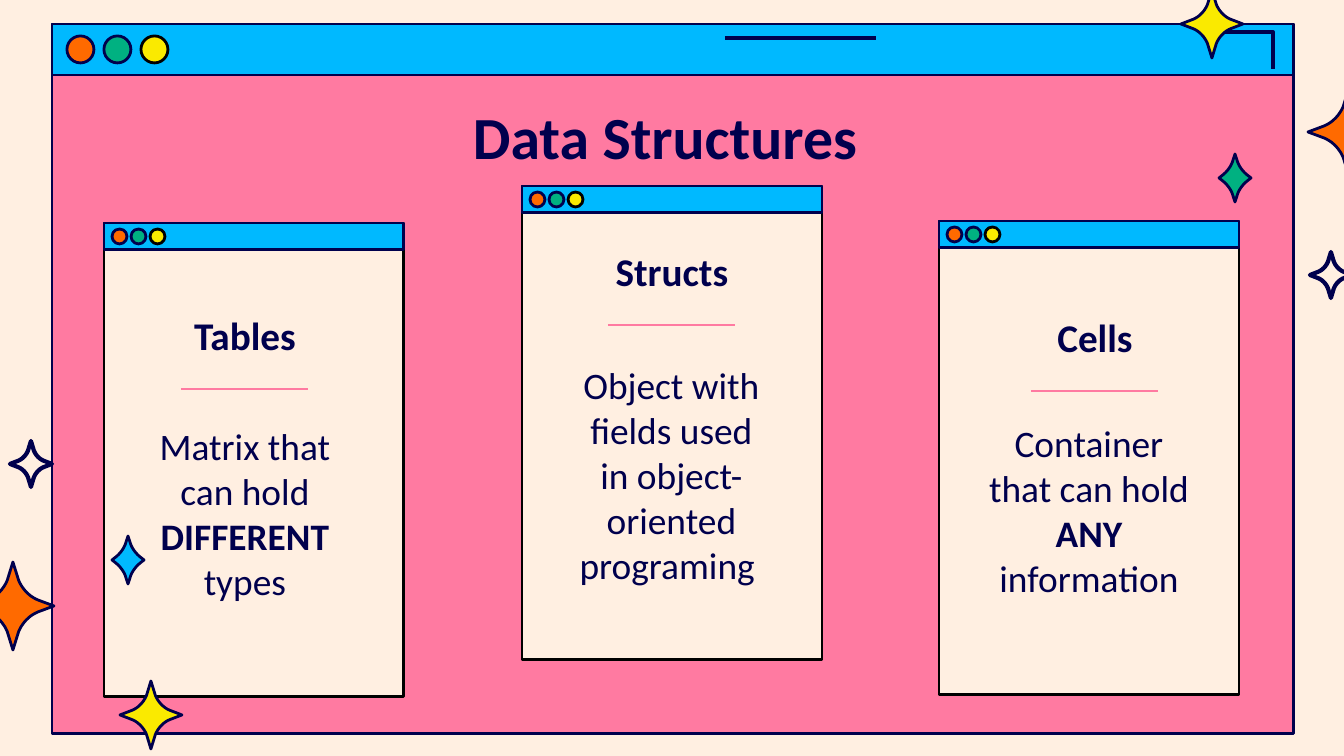
from lxml import etree
from pptx import Presentation
from pptx import util as u
from pptx.dml.color import RGBColor
from pptx.enum import shapes, text
from pptx.oxml import ns

SCALE = 914400 / 134.4
COLORS = {
    "cream": "FFEFE1", "pink": "FF7AA1", "navy": "00004D", "black": "000000",
    "blue": "00B9FF", "green": "00B181", "yellow": "FAEA00", "orange": "FF6A00",
}
WIDE_CURVE = ((.14, .58), (.22, .4), (.39, .22), (.6, .14))
SLIM_CURVE = ((.12, .76), (.22, .48), (.55, .22), (.85, .08))


def px(value):
    return u.Emu(round(value * SCALE))


def color(name):
    return RGBColor.from_string(COLORS[name])


def bezier(points, t):
    weights = ((1 - t) ** 3, 3 * t * (1 - t) ** 2, 3 * t * t * (1 - t), t ** 3)
    return tuple(sum(w * p[axis] for w, p in zip(weights, points)) for axis in (0, 1))


class Canvas:
    font = "Calibri"

    def __init__(self, slide):
        self.slide = slide
        self.shapes = slide.shapes

    def style(self, shape, fill, line="navy", width=1.5):
        shape.shadow.inherit = False
        if fill:
            shape.fill.solid()
            shape.fill.fore_color.rgb = color(fill)
        else:
            shape.fill.background()
        shape.line.color.rgb = color(line)
        shape.line.width = u.Pt(width)

    def shape(self, kind, left, top, width, height, fill, line="navy"):
        shape = self.shapes.add_shape(kind, px(left), px(top), px(width), px(height))
        self.style(shape, fill, line)

    def outline(self, points, fill, width=1.5, close=True):
        points = [(px(x), px(y)) for x, y in points]
        builder = self.shapes.build_freeform(*points[0])
        builder.add_line_segments(points[1:], close=close)
        self.style(builder.convert_to_shape(), fill, width=width)

    def line(self, left, top, length, name, width):
        line = self.shapes.add_connector(
            shapes.MSO_CONNECTOR.STRAIGHT, px(left), px(top), px(left + length), px(top))
        line.line.color.rgb = color(name)
        line.line.width = u.Pt(width)
        etree.SubElement(line.element.spPr, ns.qn("a:effectLst"))

    def window(self, left, top, width, height, bar, dot, inset, step, fill, line):
        rectangle = shapes.MSO_SHAPE.RECTANGLE
        self.shape(rectangle, left, top, width, height, fill, line)
        self.shape(rectangle, left, top, width, bar, "blue")
        dots = (("orange", "navy"), ("green", "navy"), ("yellow", "black"))
        for index, (dot_fill, dot_line) in enumerate(dots):
            self.shape(shapes.MSO_SHAPE.OVAL, left + inset + index * step,
                       top + (bar - dot) / 2, dot, dot, dot_fill, dot_line)

    def star(self, center_x, center_y, half_width, half_height, fill,
             curve=WIDE_CURVE, width=1.5):
        side = [(0, 1)] + [bezier(curve, step / 10) for step in range(11)] + [(1, 0)]
        mirrored = [(x, -y) for x, y in reversed(side)]
        half = side + mirrored[1:]
        ring = half + [(-x, y) for x, y in reversed(half)][1:-1]
        self.outline([(center_x + x * half_width, center_y - y * half_height)
                      for x, y in ring], fill, width)

    def set_text(self, shape, runs, size, bold=False, space_after=0):
        frame = shape.text_frame
        frame.word_wrap = True
        frame.auto_size = text.MSO_AUTO_SIZE.NONE
        frame.vertical_anchor = text.MSO_ANCHOR.TOP
        frame.margin_left = frame.margin_right = u.Inches(.1)
        frame.margin_top = frame.margin_bottom = u.Inches(.1)
        paragraph = frame.paragraphs[0]
        paragraph.alignment = text.PP_ALIGN.CENTER
        paragraph.space_after = u.Pt(space_after)
        paragraph.font.name = self.font
        paragraph.font.size = u.Pt(size)
        paragraph.font.bold = bold
        paragraph.font.color.rgb = color("navy")
        for index, words in enumerate(runs):
            run = paragraph.add_run()
            run.text = words
            if index == 1:
                run.font.bold = True

    def text(self, left, top, width, height, runs, size, **options):
        box = self.shapes.add_textbox(px(left), px(top), px(width), px(height))
        self.set_text(box, runs, size, **options)

    def title(self, left, top, width, height, words, size):
        title = self.shapes.title
        title.left, title.top = px(left), px(top)
        title.width, title.height = px(width), px(height)
        self.set_text(title, [words], size, bold=True)
        title.element.getparent().append(title.element)


presentation = Presentation()
presentation.slide_width, presentation.slide_height = px(1344), px(756)
slide = presentation.slides.add_slide(presentation.slide_layouts[5])
slide.background.fill.solid()
slide.background.fill.fore_color.rgb = color("cream")
canvas = Canvas(slide)

canvas.window(52, 24, 1242, 710, 51, 27, 15, 37, "pink", "navy")
canvas.outline([(1221, 32), (1273, 32), (1273, 69)], None, 2.25, close=False)
canvas.line(725, 38, 151, "navy", 2.25)

cards = [
    ((104, 223), (146, 298), (134, 410, 222), "Tables",
     ["Matrix that can hold ", "DIFFERENT", " types"]),
    ((522, 186), (573, 234), (560, 349, 223), "Structs",
     ["Object with fields used in object-oriented programing "]),
    ((939, 221), (996, 300), (970, 407, 238), "Cells",
     ["Container that can hold ", "ANY", " information"]),
]
for corner, *_ in cards:
    canvas.window(*corner, 300, 474, 27, 15, 8, 19, "cream", "black")

canvas.title(105, 86, 1134, 85, "Data Structures ", 32)
for _, (left, top), body, heading, runs in cards:
    canvas.text(left, top, 198, 63, [heading], 21, bold=True)
    canvas.line(left + 35, top + 91, 127, "pink", 1.5)
    canvas.text(*body, 90, runs, 20, space_after=16)

canvas.star(128, 560, 16, 24, "blue", SLIM_CURVE)
canvas.star(1235, 178, 16, 24, "green", SLIM_CURVE)
for center in ((31, 464), (1331, 275)):
    canvas.star(*center, 21, 23, None, width=2.25)
for center in ((151, 715), (1212, 24)):
    canvas.star(*center, 31, 34, "yellow")
for center in ((13, 606), (1349, 132)):
    canvas.star(*center, 41, 44, "orange")

presentation.save("out.pptx")
